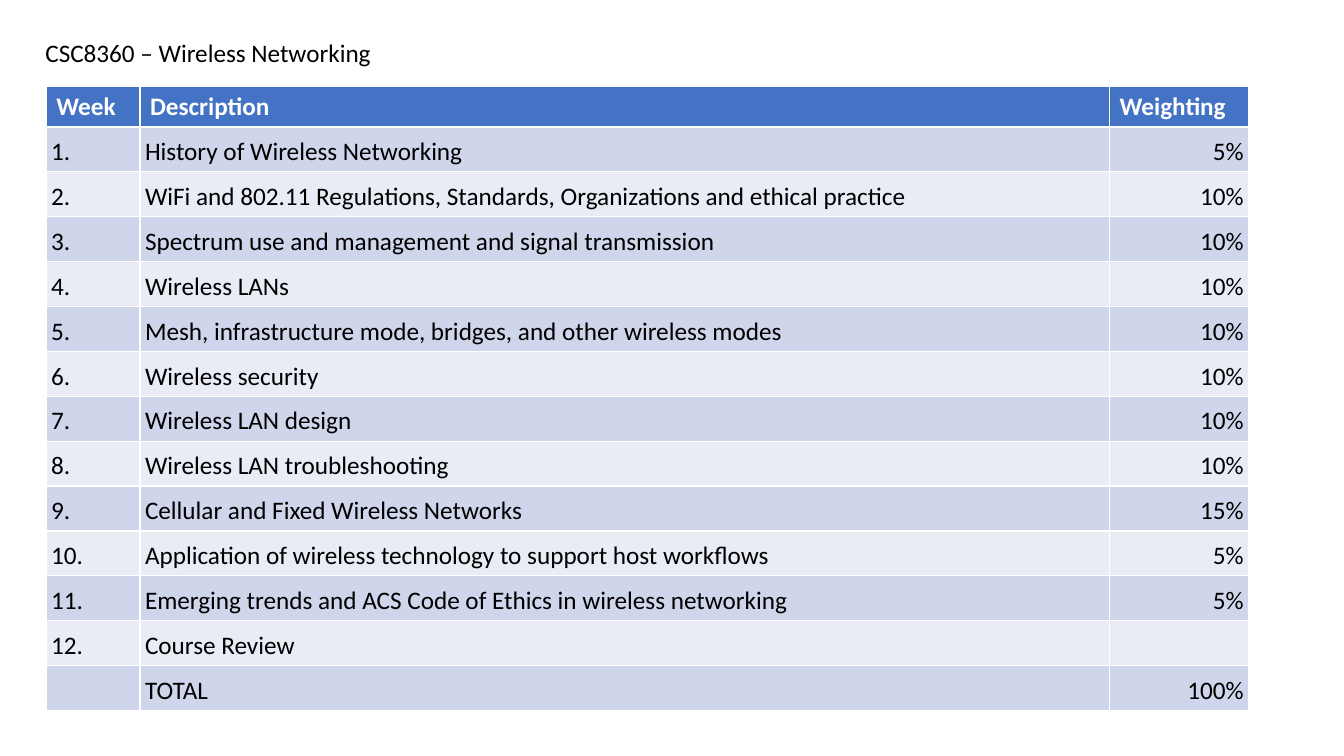
from pptx import Presentation
from pptx.dml.color import RGBColor
from pptx.enum.text import MSO_ANCHOR, MSO_AUTO_SIZE, PP_ALIGN
from pptx.util import Pt

TOP, MIDDLE = MSO_ANCHOR.TOP, MSO_ANCHOR.MIDDLE
LEFT, RIGHT = PP_ALIGN.LEFT, PP_ALIGN.RIGHT
GROW = MSO_AUTO_SIZE.SHAPE_TO_FIT_TEXT

COURSE = "CSC8360 – Wireless Networking"
HEADER = ("Week", "Description", "Weighting")
TOPICS = [
    ("History of Wireless Networking", "5%"),
    ("WiFi and 802.11 Regulations, Standards, Organizations and ethical practice", "10%"),
    ("Spectrum use and management and signal transmission", "10%"),
    ("Wireless LANs", "10%"),
    ("Mesh, infrastructure mode, bridges, and other wireless modes", "10%"),
    ("Wireless security", "10%"),
    ("Wireless LAN design", "10%"),
    ("Wireless LAN troubleshooting", "10%"),
    ("Cellular and Fixed Wireless Networks", "15%"),
    ("Application of wireless technology to support host workflows", "5%"),
    ("Emerging trends and ACS Code of Ethics in wireless networking", "5%"),
    ("Course Review", ""),
]
TOTAL = ("", "TOTAL", "100%")

COLORS = {"header": "4472C4", "odd": "CFD5EA", "even": "E9EBF5",
          "text": "000000", "header_text": "FFFFFF"}
FONT = "Calibri"
TEXT_SIZE = 18
COLUMN_WIDTHS = (67, 692.5, 99.5)
COLUMN_ALIGNS = (LEFT, LEFT, RIGHT)
COLUMN_ANCHORS = (TOP, MIDDLE, TOP)
ROW_HEIGHT = 29.2
CELL_INSET = 3.6


def style_text(para, color, bold=False):
    para.font.name = FONT
    para.font.size = Pt(TEXT_SIZE)
    para.font.bold = bold
    para.font.color.rgb = RGBColor.from_string(COLORS[color])


def style_body_cell(cell, column):
    cell.margin_left = cell.margin_right = Pt(CELL_INSET)
    cell.margin_top = cell.margin_bottom = Pt(CELL_INSET)
    cell.vertical_anchor = COLUMN_ANCHORS[column]
    para = cell.text_frame.paragraphs[0]
    para.alignment = COLUMN_ALIGNS[column]
    para.line_spacing = 1.15


def add_course_title(page):
    title = page.shapes.title
    title.left, title.top, title.width, title.height = Pt(25.2), Pt(23), Pt(491.8), Pt(29)
    frame = title.text_frame
    frame.text = COURSE
    frame.word_wrap = True
    frame.auto_size = GROW
    frame.vertical_anchor = TOP
    frame.paragraphs[0].alignment = LEFT
    style_text(frame.paragraphs[0], "text")


def add_schedule(page):
    weeks = [(f"{week}.", *topic) for week, topic in enumerate(TOPICS, 1)]
    rows = [HEADER, *weeks, TOTAL]
    table = page.shapes.add_table(
        len(rows), len(HEADER), Pt(33), Pt(61.5),
        Pt(sum(COLUMN_WIDTHS)), Pt(ROW_HEIGHT * len(rows))).table
    for column, width in zip(table.columns, COLUMN_WIDTHS):
        column.width = Pt(width)
    for row, texts in enumerate(rows):
        table.rows[row].height = Pt(ROW_HEIGHT)
        is_header = row == 0
        band = "header" if is_header else "odd" if row % 2 else "even"
        for column, text in enumerate(texts):
            cell = table.cell(row, column)
            cell.text = text
            cell.fill.solid()
            cell.fill.fore_color.rgb = RGBColor.from_string(COLORS[band])
            style_text(cell.text_frame.paragraphs[0],
                       "header_text" if is_header else "text", is_header)
            if not is_header:
                style_body_cell(cell, column)


def main():
    deck = Presentation()
    deck.slide_width, deck.slide_height = Pt(960), Pt(540)
    page = deck.slides.add_slide(deck.slide_layouts[5])
    add_course_title(page)
    add_schedule(page)
    deck.save("out.pptx")


if __name__ == "__main__":
    main()
